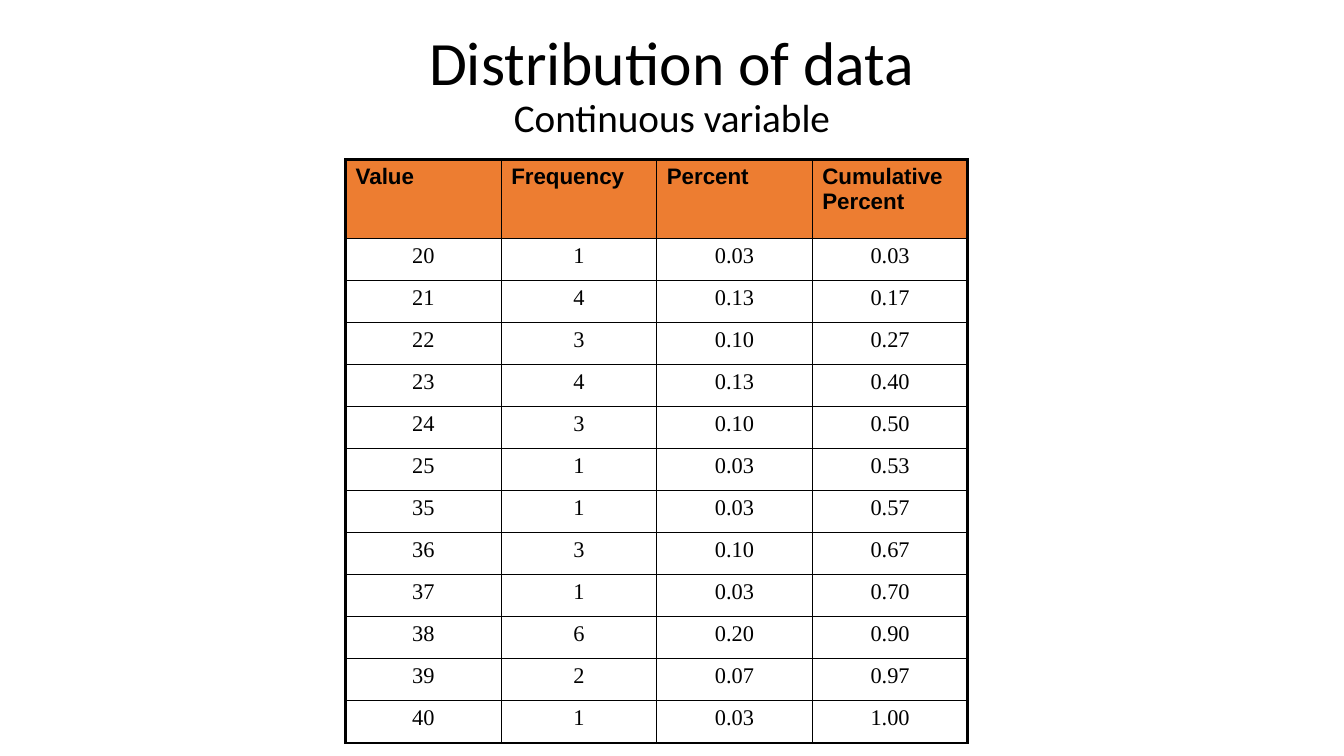
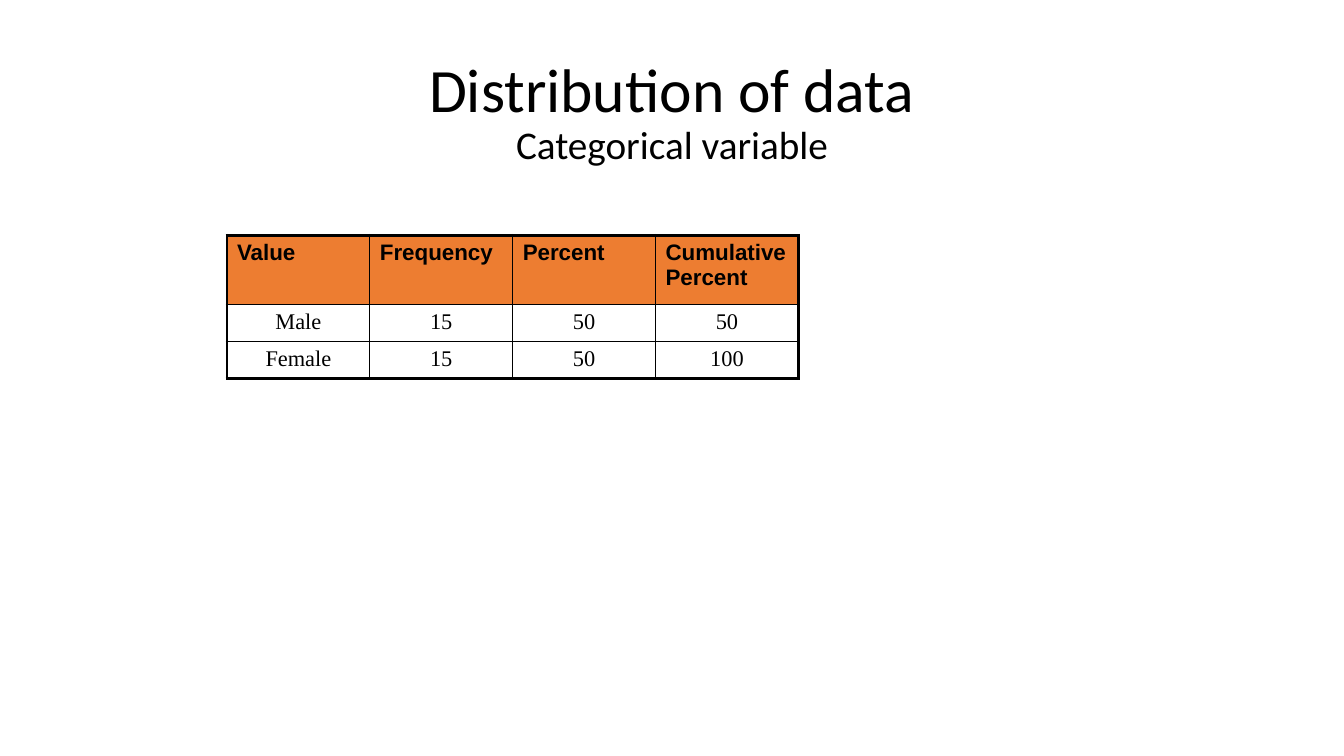
from lxml import etree
from pptx import Presentation
from pptx.dml.color import RGBColor
from pptx.enum.text import MSO_ANCHOR, PP_ALIGN
from pptx.oxml.ns import qn
from pptx.util import Cm, Pt

LEFT, CENTER = PP_ALIGN.LEFT, PP_ALIGN.CENTER
MIDDLE = MSO_ANCHOR.MIDDLE

HEADINGS = ("Value", "Frequency", "Percent", "Cumulative Percent")
CONTINUOUS = (
    ("20", "1", "0.03", "0.03"),
    ("21", "4", "0.13", "0.17"),
    ("22", "3", "0.10", "0.27"),
    ("23", "4", "0.13", "0.40"),
    ("24", "3", "0.10", "0.50"),
    ("25", "1", "0.03", "0.53"),
    ("35", "1", "0.03", "0.57"),
    ("36", "3", "0.10", "0.67"),
    ("37", "1", "0.03", "0.70"),
    ("38", "6", "0.20", "0.90"),
    ("39", "2", "0.07", "0.97"),
    ("40", "1", "0.03", "1.00"),
)
CATEGORICAL = (
    ("Male", "15", "50", "50"),
    ("Female", "15", "50", "100"),
)


def color(hex_string):
    return RGBColor.from_string(hex_string)


def write(para, text, font, size, ink, bold=False, align=LEFT, spacing=1.0):
    para.alignment = align
    para.line_spacing = spacing
    span = para.add_run()
    span.text = text
    span.font.name = font
    span.font.size = Pt(size)
    span.font.bold = bold
    span.font.color.rgb = color(ink)


def set_borders(cell, ink, widths):
    """Draw the cell borders; widths are points for left, right, top, bottom."""
    properties = cell._tc.get_or_add_tcPr()
    for position, (side, width) in enumerate(zip("LRTB", widths)):
        line = etree.Element(qn(f"a:ln{side}"), w=str(Pt(width)))
        fill = etree.SubElement(line, qn("a:solidFill"))
        etree.SubElement(fill, qn("a:srgbClr"), val=ink)
        properties.insert(position, line)


class Deck:
    INK = "000000"
    HEADER_FILL = "ED7D31"
    TITLE_FONT, HEADER_FONT, BODY_FONT = "Calibri", "Arial", "Times New Roman"
    TABLE_SIZE = 16
    INNER, OUTER = 1, 2.25

    def __init__(self):
        self.deck = Presentation()
        self.deck.slide_width, self.deck.slide_height = Cm(33.87), Cm(19.05)
        self.page = None

    def add_page(self):
        self.page = self.deck.slides.add_slide(self.deck.slide_layouts[6])

    def add_title(self, title, subtitle, top):
        box = self.page.shapes.add_textbox(Cm(2.33), Cm(top), Cm(29.21), Cm(3.68))
        frame = box.text_frame
        frame.word_wrap = True
        frame.vertical_anchor = MIDDLE
        for para, text, size in ((frame.paragraphs[0], title, 44),
                                 (frame.add_paragraph(), subtitle, 28)):
            write(para, text, self.TITLE_FONT, size, self.INK,
                  align=CENTER, spacing=0.9)

    def add_table(self, records, left, top, column_width, header_height, row_height):
        rows = (HEADINGS, *records)
        last_row, last_column = len(rows) - 1, len(HEADINGS) - 1
        table = self.page.shapes.add_table(
            len(rows), len(HEADINGS), Cm(left), Cm(top),
            Cm(column_width * len(HEADINGS)),
            Cm(header_height + row_height * len(records))).table
        table.first_row = table.horz_banding = False
        for column in table.columns:
            column.width = Cm(column_width)
        for r, texts in enumerate(rows):
            table.rows[r].height = Cm(row_height if r else header_height)
            for c, text in enumerate(texts):
                edges = (c == 0, c == last_column, r == 0, r == last_row)
                self.fill_cell(table.cell(r, c), text, r == 0, edges)

    def fill_cell(self, cell, text, is_header, edges):
        """Write one cell; edges tells which sides lie on the table's outline."""
        if is_header:
            cell.fill.solid()
            cell.fill.fore_color.rgb = color(self.HEADER_FILL)
        else:
            cell.fill.background()
        set_borders(cell, self.INK,
                    [self.OUTER if edge else self.INNER for edge in edges])
        write(cell.text_frame.paragraphs[0], text,
              self.HEADER_FONT if is_header else self.BODY_FONT,
              self.TABLE_SIZE, self.INK, bold=is_header,
              align=LEFT if is_header else CENTER)

    def save(self):
        self.deck.save("out.pptx")


def main():
    deck = Deck()

    deck.add_page()
    deck.add_title("Distribution of data", "Continuous variable", top=0.34)
    deck.add_table(CONTINUOUS, left=8.71, top=4.02, column_width=3.92,
                   header_height=1.98, row_height=1.06)

    deck.add_page()
    deck.add_title("Distribution of data", "Categorical variable", top=1.02)
    deck.add_table(CATEGORICAL, left=5.72, top=5.93, column_width=3.6,
                   header_height=1.74, row_height=0.93)

    deck.save()


if __name__ == "__main__":
    main()
